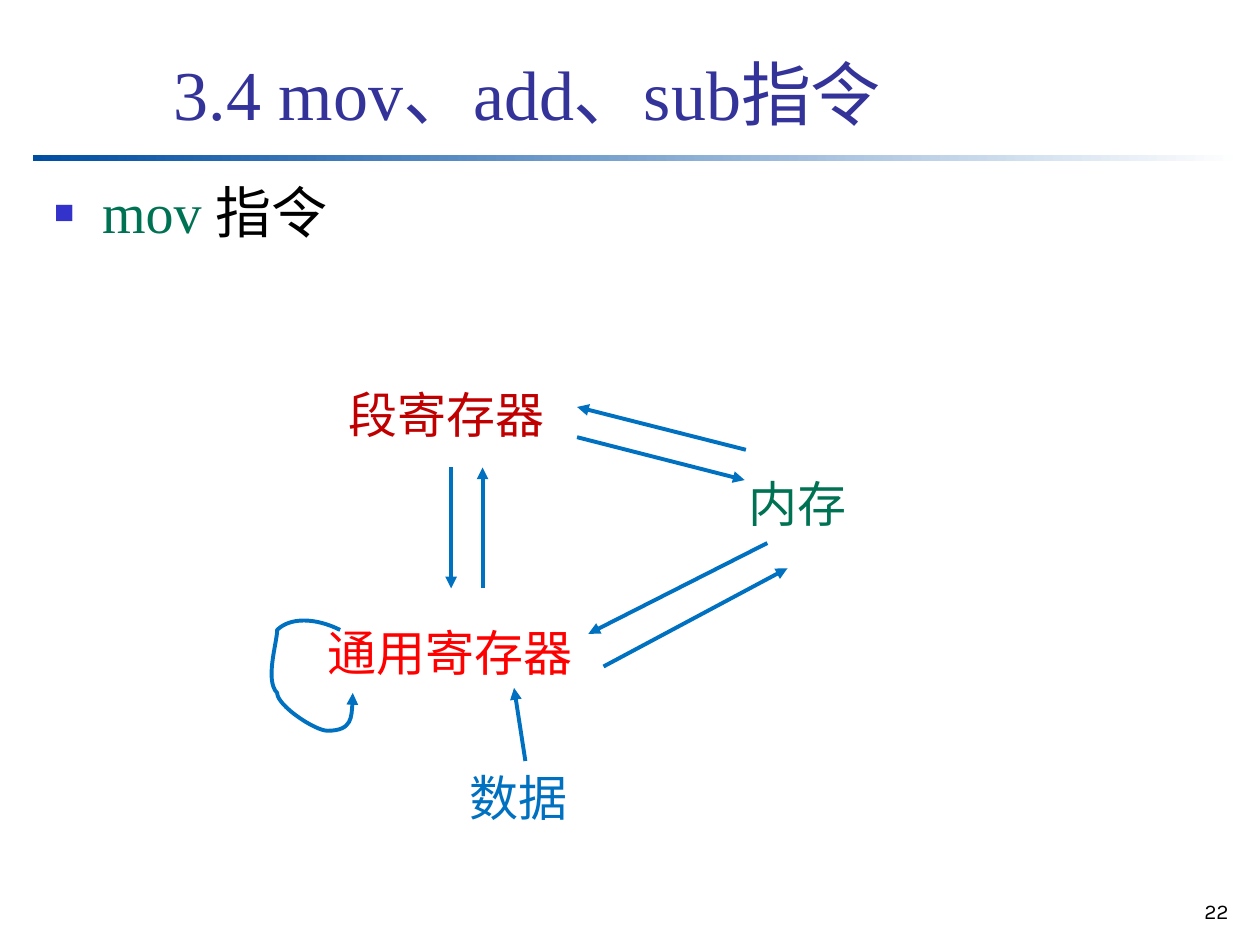
from lxml.etree import SubElement
from pptx import Presentation
from pptx.dml.color import RGBColor
from pptx.enum.shapes import MSO_CONNECTOR, MSO_SHAPE
from pptx.enum.text import MSO_ANCHOR, MSO_AUTO_SIZE, PP_ALIGN
from pptx.oxml import parse_xml
from pptx.oxml.ns import nsdecls, qn
from pptx.util import Inches, Pt

COLORS = {
    "title": "333399", "bullet": "3333CC", "rule": "004EA2", "white": "FFFFFF",
    "black": "000000", "green": "007254", "crimson": "C00000", "red": "FF0000",
    "blue": "0070C0",
}
COLUMNS, ROWS = 100, 75
UNIT = Inches(10) // COLUMNS
SERIF, SANS = "Times New Roman", "Karla"


def rgb(name):
    return RGBColor.from_string(COLORS[name])


def grid(*cells):
    """Turn grid columns or rows into slide lengths."""
    return [round(cell * UNIT) for cell in cells]


def place(shape, box):
    shape.left, shape.top, shape.width, shape.height = grid(*box)


def set_font(font, name, size, color=None):
    font.name, font.size = name, Pt(size)
    if color:
        font.color.rgb = rgb(color)


def add_label(slide, box, text, size, color, align=PP_ALIGN.LEFT):
    text_box = slide.shapes.add_textbox(*grid(*box))
    text_box.text_frame.word_wrap = True
    paragraph = text_box.text_frame.paragraphs[0]
    paragraph.text, paragraph.alignment = text, align
    set_font(paragraph.font, SANS, size, color)


def style_arrow(shape):
    """Blue line without shadow, with a triangle at its end."""
    shape.line.color.rgb = rgb("blue")
    shape.line.width = Pt(2.25)
    SubElement(shape.line._get_or_add_ln(), qn("a:tailEnd"), type="triangle")
    properties = shape._element.spPr
    if properties.find(qn("a:effectLst")) is None:
        SubElement(properties, qn("a:effectLst"))


def add_arrow(slide, start, end):
    style_arrow(slide.shapes.add_connector(
        MSO_CONNECTOR.STRAIGHT, *grid(*start, *end)))


def add_curved_arrow(slide, points):
    """Draw cubic curves through a start point and triples of control points."""
    builder = slide.shapes.build_freeform(*points[0], scale=UNIT)
    builder.add_line_segments(points[1:], close=False)
    shape = builder.convert_to_shape()
    path = next(shape._element.iter(qn("a:path")))
    segments = path.findall(qn("a:lnTo"))
    for first in range(0, len(segments), 3):
        curve = SubElement(path, qn("a:cubicBezTo"))
        for segment in segments[first:first + 3]:
            curve.append(segment[0])
            path.remove(segment)
    shape.fill.background()
    style_arrow(shape)


def add_header(slide, box):
    left, top, width, height = box
    rule = slide.shapes.add_shape(
        MSO_SHAPE.RECTANGLE, *grid(left, top + height - 0.5, width, 0.5))
    rule.shadow.inherit = False
    rule.line.fill.background()
    rule.fill.gradient()
    rule.fill.gradient_angle = 0
    for stop, color in zip(rule.fill.gradient_stops, ("rule", "white")):
        stop.color.rgb = rgb(color)

    title = slide.shapes.title
    place(title, (left + 10.2, top, width - 10.8, height - 1.6))
    frame = title.text_frame
    frame.auto_size, frame.vertical_anchor = MSO_AUTO_SIZE.NONE, MSO_ANCHOR.BOTTOM
    paragraph = frame.paragraphs[0]
    paragraph.text, paragraph.alignment = "3.4 mov、add、sub指令", PP_ALIGN.LEFT
    set_font(paragraph.font, SERIF, 40, "title")


def add_bullet_list(slide, box):
    body = slide.placeholders[1]
    place(body, box)
    body.text_frame.auto_size = MSO_AUTO_SIZE.NONE
    paragraph = body.text_frame.paragraphs[0]
    properties = paragraph._p.get_or_add_pPr()
    indent = Inches(0.38)
    properties.set("marL", str(indent))
    properties.set("indent", str(-indent))
    for xml in (
        f'<a:buClr {nsdecls("a")}><a:srgbClr val="{COLORS["bullet"]}"/></a:buClr>',
        f'<a:buSzPct {nsdecls("a")} val="60000"/>',
        f'<a:buChar {nsdecls("a")} char="■"/>',
    ):
        properties.append(parse_xml(xml))
    paragraph.line_spacing, paragraph.space_before = 0.9, Pt(0)
    set_font(paragraph.font, SERIF, 32)
    for text, color in (("mov ", "green"), ("指令", "black")):
        run = paragraph.add_run()
        run.text = text
        run.font.color.rgb = rgb(color)


def add_data_flow(slide, box):
    """Storage places and the moves allowed between them."""
    left, top, width, height = box

    def at(x, y):
        return left + x, top + y

    labels = (
        ("段寄存器", "crimson", (6.7, 0), 19.2),
        ("内存", "green", (38.4, 7.1), 13.8),
        ("通用寄存器", "red", (5, 18.9), 23.3),
        ("数据", "blue", (16.3, 30.4), 23.3),
    )
    for text, color, corner, label_width in labels:
        add_label(slide, (*at(*corner), label_width, 5.7), text, 28, color)

    arrows = (
        ((15.8, 7.1), (15.8, 16.7)), ((18.3, 16.7), (18.3, 7.1)),
        ((39.2, 5.7), (25.8, 2.3)), ((25.8, 4.7), (39.1, 8.1)),
        ((40.9, 13.1), (26.7, 20.3)), ((27.9, 22.9), (42.5, 15.1)),
        ((21.7, 30.4), (20.8, 24.6)),
    )
    for start, end in arrows:
        add_arrow(slide, at(*start), at(*end))

    loop = (
        (6.8, 19.6),
        (5.1, 19.3), (3.3, 19), (2.4, 19.9),
        (1.6, 20.8), (0.9, 23.9), (1.5, 25.2),
        (2.2, 26.5), (5.4, 27.6), (6.5, 27.6),
        (7.7, 27.5), (8.1, 26.3), (8.5, 25),
    )
    add_curved_arrow(slide, [at(*point) for point in loop])


def main():
    presentation = Presentation()
    presentation.slide_width = COLUMNS * UNIT
    presentation.slide_height = ROWS * UNIT
    slide = presentation.slides.add_slide(presentation.slide_layouts[1])
    add_header(slide, (2.6, 1.8, 96, 11))
    add_bullet_list(slide, (3.3, 14.2, 94.6, 56.7))
    add_data_flow(slide, (20, 30, 53, 37))
    add_label(slide, (91.8, 70.8, 6.7, 3.3), "22", 12, "black", PP_ALIGN.RIGHT)
    presentation.save("out.pptx")


if __name__ == "__main__":
    main()
